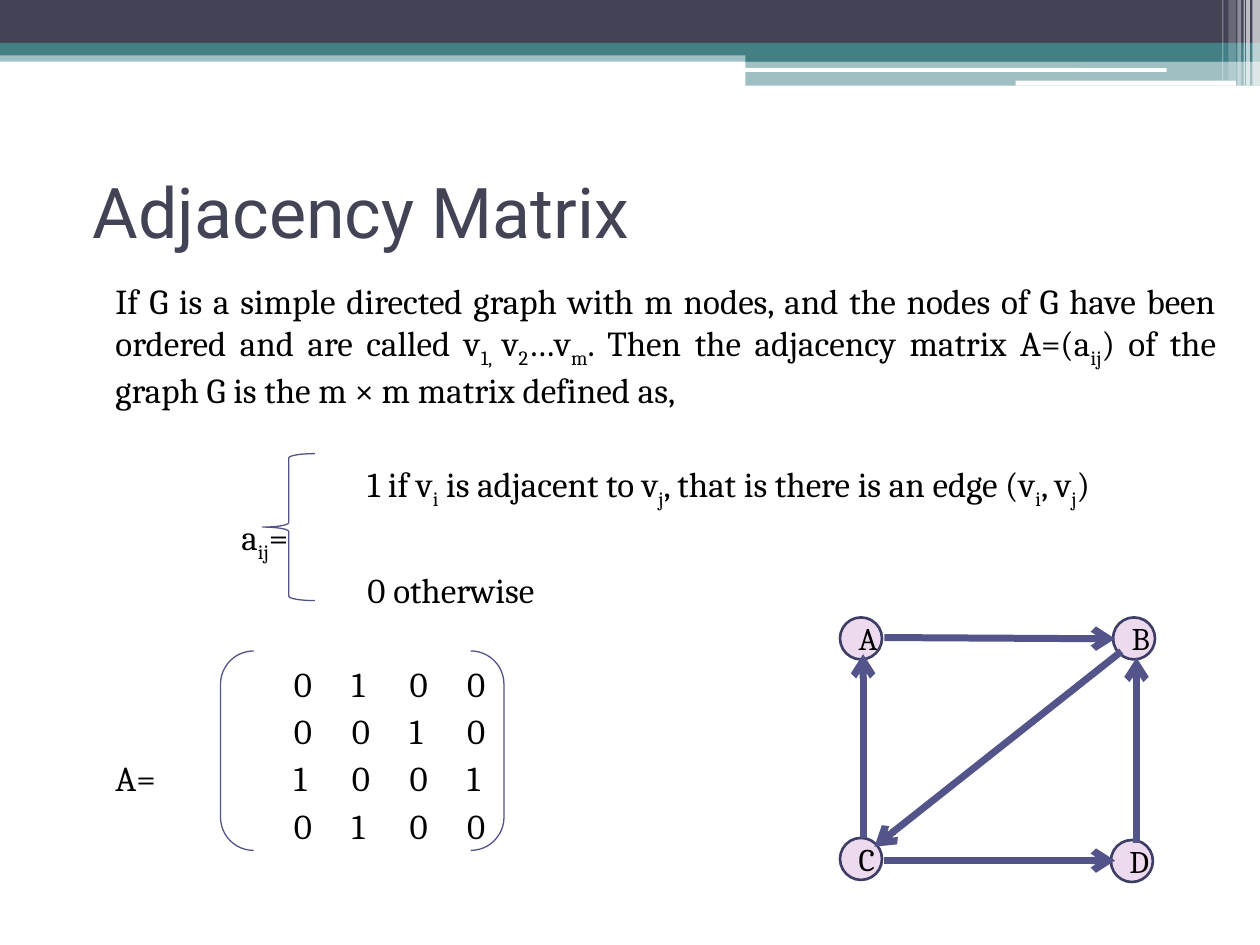
import pptx
import pptx.util
import pptx.dml.color
import pptx.enum.shapes
import pptx.enum.text
import pptx.oxml.ns
import lxml.etree

COLUMNS, ROWS = 120, 90
COLORS = {"navy": "424456", "teal": "438086", "white": "FFFFFF", "black": "000000",
          "indigo": "53548A", "outline": "3D3E66", "pink": "EDDAEE"}
SHAPES = pptx.enum.shapes.MSO_SHAPE
ANCHOR = pptx.enum.text.MSO_ANCHOR
ALIGN = pptx.enum.text.PP_ALIGN

STRIPES = [
    (0, 4.8, 120, 1.08, "teal", 50),
    (0, 0, 120, 4.08, "navy", 100),
    (0, 4.08, 120, 1.2, "teal", 100),
    (71, 4.68, 49, 1.2, "teal", 100),
    (71, 5.76, 49, 2.4, "teal", 50),
]
PILLS = [(70.92, 6.48, 40.2, 0.36), (96.72, 7.68, 21, 0.48)]
GLINTS = [
    (119.28, 0.72, 8.16, 65), (118.68, 0.36, 8.16, 65), (118.44, 0.12, 8.16, 60),
    (117.84, 0.36, 8.16, 40), (117, 0.72, 7.68, 20), (116.4, 0.12, 7.68, 30),
]
DEFINITION = ("If G is a simple directed graph with m nodes, and the nodes of G have been "
              "ordered and are called v~1, ~v~2~…v~m~. Then the adjacency matrix A=(a~ij~) "
              "of the graph G is the m × m matrix defined as, ")
CASES = ["\t\t1 if v~i~ is adjacent to v~j~, that is there is an edge (v~i~, v~j~)",
         "\ta~ij~=", "\t\t0 otherwise"]
MATRIX = [[0, 1, 0, 0], [0, 0, 1, 0], [1, 0, 0, 1], [0, 1, 0, 0]]
MATRIX_LABEL_ROW = 2
CASE_STOPS = [12, 24]
MATRIX_STOPS = [17 + 5.5 * column for column in range(4)]

NODE_SIZE = 4
NODES = {"A": (0, 0), "C": (0, 21), "D": (25.8, 21.2), "B": (26, 0)}
EDGES = [
    (2.2, 21, 2.2, 3.5), (4.24, 1.92, 26.2, 2.04), (4.24, 23.16, 26.2, 23.16),
    (28.24, 21.5, 28.24, 3.84), (26.8, 3.24, 3.28, 21.84),
]


def grid(value):
    return pptx.util.Inches(value * 10 / COLUMNS)


def color(name):
    return pptx.dml.color.RGBColor.from_string(COLORS[name])


def set_attributes(target, values):
    for name, value in values.items():
        setattr(target, name, value)


def add_child(parent, tag, **attributes):
    child = lxml.etree.SubElement(parent, pptx.oxml.ns.qn(tag))
    for name, value in attributes.items():
        child.set(name, str(value))
    return child


def add_shape(slide, kind, box, fill=None, opacity=100, line=None, width=0.75):
    shape = slide.shapes.add_shape(kind, *map(grid, box))
    shape.shadow.inherit = False
    if fill:
        shape.fill.solid()
        shape.fill.fore_color.rgb = color(fill)
        if opacity < 100:
            solid = shape.fill._xPr.find(pptx.oxml.ns.qn("a:solidFill"))
            add_child(solid[0], "a:alpha", val=opacity * 1000)
    else:
        shape.fill.background()
    if line:
        shape.line.color.rgb = color(line)
        shape.line.width = pptx.util.Pt(width)
    else:
        shape.line.fill.background()
    return shape


def write_text(paragraph, text, font, size, ink):
    for index, part in enumerate(text.split("~")):
        if part:
            run = paragraph.add_run()
            run.text = part
            set_attributes(run.font, {"name": font, "size": pptx.util.Pt(size)})
            run.font.color.rgb = color(ink)
            if index % 2:
                run._r.get_or_add_rPr().set("baseline", "-25000")


def add_tab_stops(paragraph, stops):
    tabs = add_child(paragraph._p.get_or_add_pPr(), "a:tabLst")
    for stop in stops:
        add_child(tabs, "a:tab", pos=int(grid(stop)), algn="l")


def build_header(slide, box):
    left, top = box[:2]
    for x, y, width, height, fill, opacity in STRIPES:
        add_shape(slide, SHAPES.RECTANGLE, (left + x, top + y, width, height), fill, opacity)
    for x, y, width, height in PILLS:
        add_shape(slide, SHAPES.ROUNDED_RECTANGLE, (left + x, top + y, width, height), "white")
    for x, width, height, opacity in GLINTS:
        add_shape(slide, SHAPES.RECTANGLE, (left + x, top, width, height), "white", opacity)


def build_title(slide, box):
    frame = slide.shapes.add_textbox(*map(grid, box)).text_frame
    set_attributes(frame, {"word_wrap": True, "vertical_anchor": ANCHOR.MIDDLE})
    write_text(frame.paragraphs[0], " Adjacency Matrix", "Roboto", 40, "navy")


def build_body(slide, box):
    frame = slide.shapes.add_textbox(*map(grid, box)).text_frame
    set_attributes(frame, {"word_wrap": True, "margin_left": grid(6)})
    rows = []
    for index, values in enumerate(MATRIX):
        label = "A=" if index == MATRIX_LABEL_ROW else ""
        rows.append("\t".join([label, *map(str, values)]))
    groups = [([DEFINITION], [], 3, ALIGN.JUSTIFY),
              (CASES, CASE_STOPS, 29.5, ALIGN.LEFT),
              (rows, MATRIX_STOPS, 29.5, ALIGN.LEFT)]
    paragraph = frame.paragraphs[0]
    for lines, stops, gap, alignment in groups:
        for index, text in enumerate(lines):
            if paragraph.runs:
                paragraph = frame.add_paragraph()
            space = pptx.util.Pt(3 if index else gap)
            set_attributes(paragraph, {"alignment": alignment, "space_before": space})
            if stops:
                add_tab_stops(paragraph, stops)
            write_text(paragraph, text, "Cambria", 20, "black")


def build_brackets(slide, box):
    left, top, width, height = box
    add_shape(slide, SHAPES.LEFT_BRACE, (left + 4, top, 5, 14), line="indigo")
    add_shape(slide, SHAPES.DOUBLE_BRACKET, (left, top + height - 19, width, 19), line="indigo")


def build_graph(slide, box):
    left, top = box[:2]
    for name, (x, y) in NODES.items():
        node = add_shape(slide, SHAPES.OVAL, (left + x, top + y, NODE_SIZE, NODE_SIZE),
                         "pink", line="outline", width=1.5)
        node.text_frame.vertical_anchor = ANCHOR.MIDDLE
        paragraph = node.text_frame.paragraphs[0]
        paragraph.alignment = ALIGN.CENTER
        write_text(paragraph, name, "Cambria", 18, "black")
    for x1, y1, x2, y2 in EDGES:
        ends = (left + x1, top + y1, left + x2, top + y2)
        edge = slide.shapes.add_connector(
            pptx.enum.shapes.MSO_CONNECTOR.STRAIGHT, *map(grid, ends))
        edge.line.color.rgb = color("indigo")
        edge.line.width = pptx.util.Pt(4)
        add_child(edge.line._get_or_add_ln(), "a:tailEnd", type="arrow")
        add_child(edge._element.spPr, "a:effectLst")


def main():
    presentation = pptx.Presentation()
    set_attributes(presentation, {"slide_width": grid(COLUMNS), "slide_height": grid(ROWS)})
    slide = presentation.slides.add_slide(presentation.slide_layouts[6])
    build_header(slide, (0, 0, 120, 8.16))
    build_title(slide, (6, 13, 108, 14))
    build_body(slide, (5, 26, 112, 62))
    build_brackets(slide, (21, 43.2, 27, 37.8))
    build_graph(slide, (80, 58.8, 30, 25.2))
    presentation.save("out.pptx")


if __name__ == "__main__":
    main()
